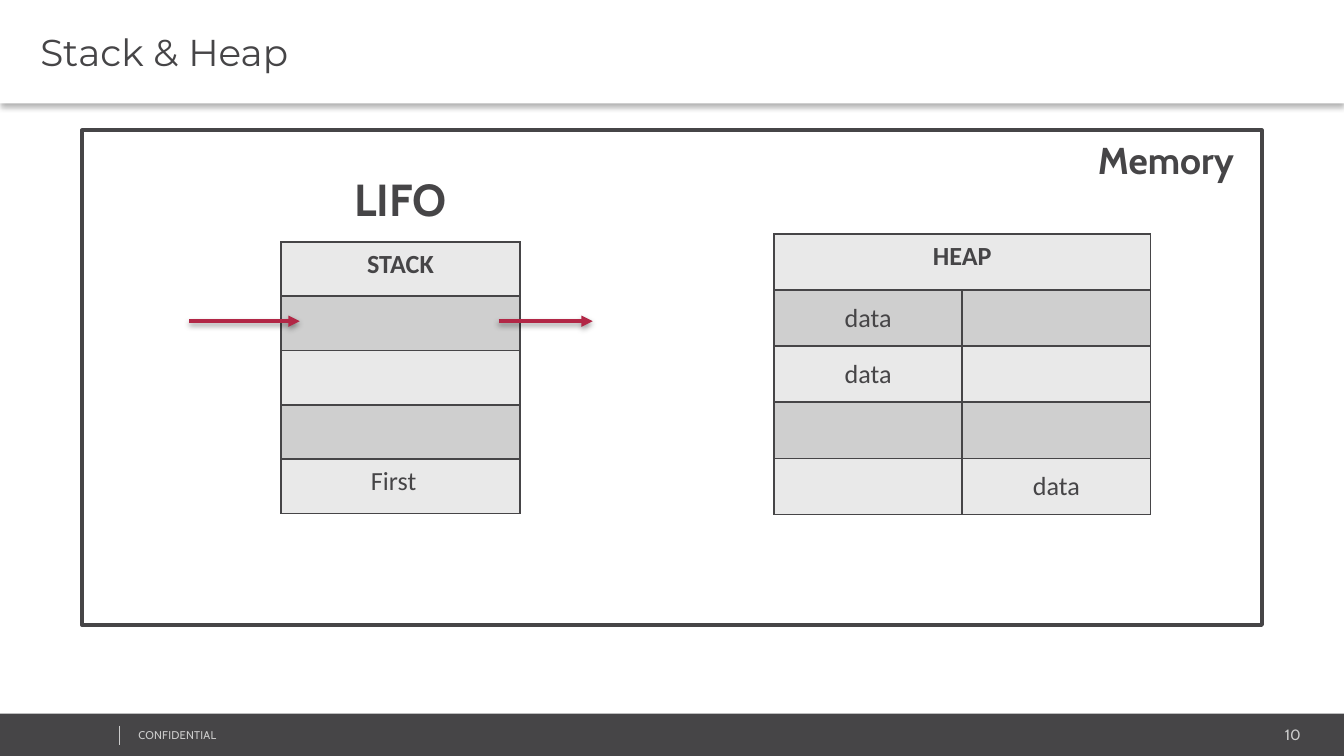
"""Build the Stack & Heap slide: two memory tables, push and pop arrows."""
import pptx
import pptx.dml.color
import pptx.enum.shapes
import pptx.enum.text
import pptx.oxml
import pptx.oxml.ns
import pptx.util

Inches = pptx.util.Inches
Pt = pptx.util.Pt
ALIGN = pptx.enum.text.PP_ALIGN
ANCHOR = pptx.enum.text.MSO_ANCHOR
LINE = pptx.enum.shapes.MSO_CONNECTOR.STRAIGHT
RECT = pptx.enum.shapes.MSO_SHAPE.RECTANGLE
NS = pptx.oxml.ns.nsdecls("a")

THEME = {
    "dark": "464547", "white": "FFFFFF", "pale": "CCCCCC", "red": "B22746",
    "bands": ("E9E9E9", "CFCFCF"),
    "head": "Montserrat", "label": "Cabin", "cell": "Calibri",
    "title": 20, "big": 24, "body": 14, "page": 8, "foot": 6,
}

TITLE = "Stack & Heap"
LABELS = [
    ("Memory", (8.07, 0.97, 1.32, 0.44), "title", ALIGN.LEFT),
    ("LIFO", (2.09, 1.23, 1.78, 0.5), "big", ALIGN.CENTER),
]
FOOTER = [
    ("10", (8.12, 5.36, 1.63, 0.21), "page", ALIGN.RIGHT, 0),
    ("CONFIDENTIAL", (0.96, 5.38, 2.53, 0.18), "foot", ALIGN.LEFT, 10),
]
STACK = [["STACK"], [""], [""], [""], ["First"]]
HEAP = [["HEAP", ""], ["data", ""], ["data", ""], ["", ""], ["", "data"]]
ARROWS = [(1.41, 2.23), (3.71, 4.41)]


def color(name):
    return pptx.dml.color.RGBColor.from_string(THEME.get(name, name))


def style(para, size, face, tint="dark", bold=False, align=ALIGN.LEFT):
    font = para.font
    font.size, font.name, font.bold = Pt(THEME[size]), THEME[face], bold
    font.color.rgb = color(tint)
    para.alignment = align


def pad(item, left, top, right, low):
    item.margin_left, item.margin_right = Inches(left), Inches(right)
    item.margin_top, item.margin_bottom = Inches(top), Inches(low)


def shade(shape, alpha, dist):
    shape._element.spPr.append(pptx.oxml.parse_xml(
        f'<a:effectLst {NS}><a:outerShdw blurRad="{Pt(3.1)}" '
        f'dist="{Pt(dist)}" dir="5400000" rotWithShape="0">'
        f'<a:srgbClr val="000000"><a:alpha val="{alpha * 1000}"/>'
        '</a:srgbClr></a:outerShdw></a:effectLst>'))


def rect(slide, box, fill, edge=None):
    shape = slide.shapes.add_shape(RECT, *map(Inches, box))
    shape.fill.solid()
    shape.fill.fore_color.rgb = color(fill)
    if edge:
        shape.line.color.rgb = color(edge)
        shape.line.width = Pt(2)
    else:
        shape.line.fill.background()
    return shape


def text(slide, words, box, size, align, tint="dark", bold=True):
    frame = slide.shapes.add_textbox(*map(Inches, box)).text_frame
    frame.word_wrap = True
    para = frame.paragraphs[0]
    para.text = words
    style(para, size, "label", tint, bold, align)
    return frame


def line(slide, start, end, tint, width):
    link = slide.shapes.add_connector(LINE, *map(Inches, start + end))
    link.line.color.rgb = color(tint)
    link.line.width = Pt(width)
    return link


def border(cell):
    props = cell._tc.get_or_add_tcPr()
    for spot, side in enumerate(("lnL", "lnR", "lnT", "lnB")):
        props.insert(spot, pptx.oxml.parse_xml(
            f'<a:{side} {NS} w="{Pt(1)}"><a:solidFill>'
            f'<a:srgbClr val="{THEME["dark"]}"/></a:solidFill></a:{side}>'))


def grid(slide, data, box):
    rows, cols = len(data), len(data[0])
    table = slide.shapes.add_table(rows, cols, *map(Inches, box)).table
    table.first_row = table.horz_banding = False
    for r, words in enumerate(data):
        for c, word in enumerate(words):
            cell = table.cell(r, c)
            cell.fill.solid()
            cell.fill.fore_color.rgb = color(THEME["bands"][r % 2])
            border(cell)
            para = cell.text_frame.paragraphs[0]
            para.text = word
            style(para, "body", "cell", bold=r == 0, align=ALIGN.CENTER)
            if word == "data":
                cell.vertical_anchor = ANCHOR.MIDDLE
    if cols > 1:
        table.cell(0, 0).merge(table.cell(0, cols - 1))
    return table


def main():
    deck = pptx.Presentation()
    deck.slide_width = Inches(10)
    deck.slide_height = deck.slide_width * 9 // 16
    slide = deck.slides.add_slide(deck.slide_layouts[6])

    rect(slide, (0, 5.31, 10.01, 0.33), "dark").shadow.inherit = False
    for words, box, size, align, gap in FOOTER:
        frame = text(slide, words, box, size, align, "pale", False)
        pad(frame, 0.07, 0.04, 0.07, 0.04)
        run = frame.paragraphs[0].runs[0]
        run._r.get_or_add_rPr().set("spc", str(gap))
    rule = line(slide, (0.89, 5.4), (0.89, 5.54), "pale", 0.25)
    rule._element.spPr.append(pptx.oxml.parse_xml(f"<a:effectLst {NS}/>"))

    head = rect(slide, (0, 0, 10, 0.77), "white")
    shade(head, 30, 2)
    frame = head.text_frame
    pad(frame, 0.3, 0.04, 0.07, 0.04)
    frame.vertical_anchor = ANCHOR.MIDDLE
    frame.paragraphs[0].text = TITLE
    style(frame.paragraphs[0], "title", "head")

    memory = rect(slide, (0.61, 0.97, 8.78, 3.68), "white", "dark")
    memory.shadow.inherit = False
    for label in LABELS:
        text(slide, *label)

    stack = grid(slide, STACK, (2.09, 1.8, 1.78, 2.02))
    first = stack.cell(len(STACK) - 1, 0)
    first.margin_left = Inches(0.67)
    first.text_frame.paragraphs[0].alignment = ALIGN.LEFT
    grid(slide, HEAP, (5.76, 1.74, 2.8, 2.09))

    for left, right in ARROWS:
        arrow = line(slide, (left, 2.39), (right, 2.39), "red", 2)
        arrow._element.spPr.find(pptx.oxml.ns.qn("a:ln")).append(
            pptx.oxml.parse_xml(f'<a:tailEnd {NS} type="triangle"/>'))
        shade(arrow, 38, 1.6)

    deck.save("out.pptx")


if __name__ == "__main__":
    main()
